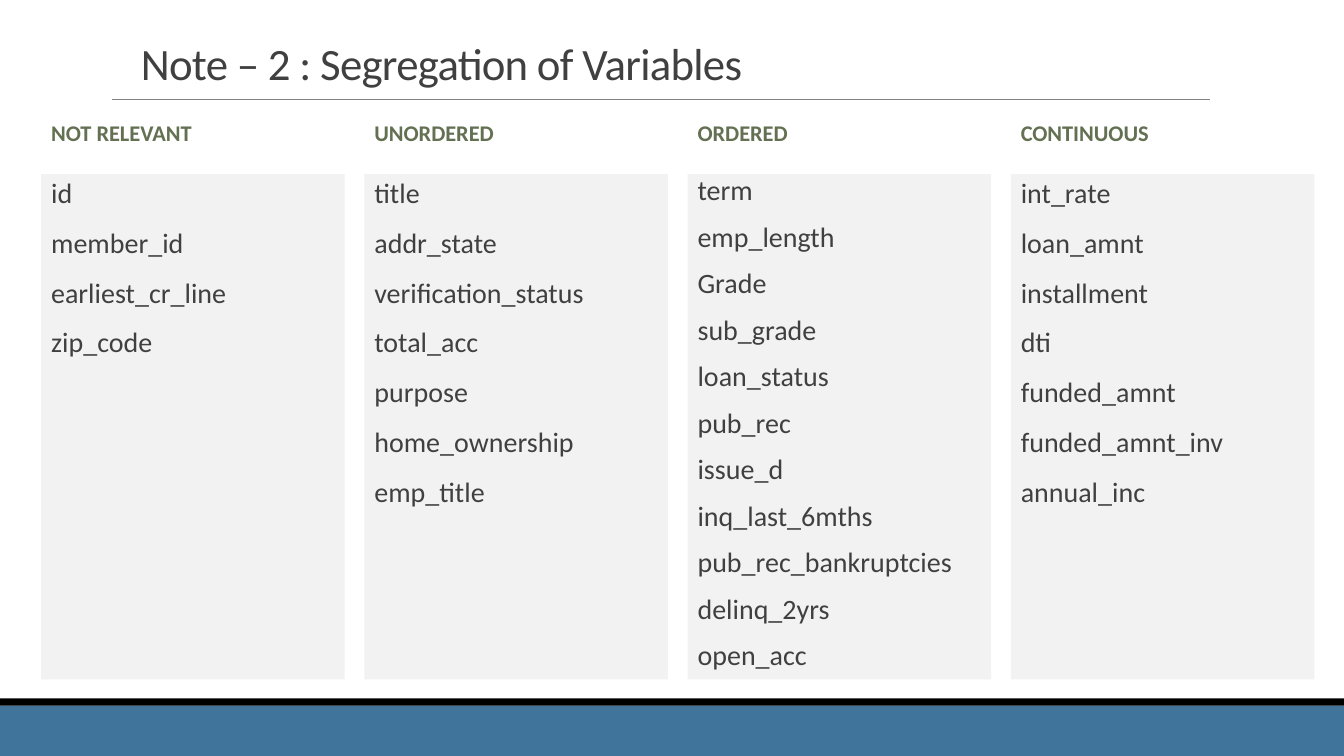
from dataclasses import dataclass

from lxml import etree
from pptx import Presentation
from pptx import util as u
from pptx.dml.color import RGBColor
from pptx.enum import shapes, text
from pptx.oxml.ns import qn

TITLE = "Note – 2 : Segregation of Variables"
GROUPS = [
    ("NOT RELEVANT", 0.9, ["id", "member_id", "earliest_cr_line", "zip_code"]),
    ("UNORDERED", 0.9, ["title", "addr_state", "verification_status", "total_acc",
                        "purpose", "home_ownership", "emp_title"]),
    ("ORDERED", 0.8, ["term", "emp_length", "Grade", "sub_grade", "loan_status",
                      "pub_rec", "issue_d", "inq_last_6mths",
                      "pub_rec_bankruptcies", "delinq_2yrs", "open_acc"]),
    ("CONTINUOUS", 0.9, ["int_rate", "loan_amnt", "installment", "dti",
                         "funded_amnt", "funded_amnt_inv", "annual_inc"]),
]


@dataclass(frozen=True)
class Theme:
    font: str = "Calibri"
    ink: str = "404040"
    head: str = "637052"
    panel: str = "F2F2F2"
    blue: str = "40749B"
    black: str = "000000"
    rule: str = "808080"
    title_size: int = 32
    head_size: int = 16
    item_size: int = 20


T = Theme()
WIDE, HIGH = 33.87, 19.05
LEFT, STEP, WIDTH = 1.04, 8.145, 7.65


def add_rect(slide, box, fill):
    rect = slide.shapes.add_shape(shapes.MSO_SHAPE.RECTANGLE, *map(u.Cm, box))
    rect.shadow.inherit = False
    rect.fill.solid()
    rect.fill.fore_color.rgb = RGBColor.from_string(fill)
    rect.line.fill.background()
    return rect


def add_label(slide, box):
    return slide.shapes.add_textbox(*map(u.Cm, box))


def write(shape, lines, size, color, spacing, anchor, gaps=True, bold=False):
    frame = shape.text_frame
    frame.word_wrap = True
    frame.vertical_anchor = anchor
    frame.text = "\n".join(lines)
    for para in frame.paragraphs:
        para.alignment = text.PP_ALIGN.LEFT
        para.line_spacing = spacing
        if gaps:
            para.space_before, para.space_after = u.Pt(12), u.Pt(2)
        para.font.name = T.font
        para.font.size = u.Pt(size)
        para.font.bold = bold
        para.font.color.rgb = RGBColor.from_string(color)
    return frame


def add_rule(slide, start, end, y):
    rule = slide.shapes.add_connector(
        shapes.MSO_CONNECTOR.STRAIGHT, u.Cm(start), u.Cm(y), u.Cm(end), u.Cm(y))
    rule.line.color.rgb = RGBColor.from_string(T.rule)
    rule.line.width = u.Pt(0.5)
    etree.SubElement(rule._element.spPr, qn("a:effectLst"))


def main():
    deck = Presentation()
    deck.slide_width, deck.slide_height = u.Cm(WIDE), u.Cm(HIGH)
    slide = deck.slides.add_slide(deck.slide_layouts[6])

    add_rect(slide, (0, 17.78, WIDE, 1.27), T.blue)
    add_rect(slide, (0, 17.6, WIDE, 0.18), T.black)
    add_rule(slide, 2.82, 30.5, 2.51)

    title = write(add_label(slide, (3.3, 0.79, 25.53, 1.6)), [TITLE],
                  T.title_size, T.ink, 0.85, text.MSO_ANCHOR.BOTTOM, gaps=False)
    title.paragraphs[0].runs[0].font._element.set("spc", "-50")

    for col, (head, spacing, items) in enumerate(GROUPS):
        x = LEFT + col * STEP
        panel = add_rect(slide, (x, 4.39, WIDTH, 12.73), T.panel)
        write(panel, items, T.item_size, T.ink, spacing, text.MSO_ANCHOR.TOP)
        write(add_label(slide, (x, 2.79, WIDTH, 1.19)), [head],
              T.head_size, T.head, 0.9, text.MSO_ANCHOR.MIDDLE, bold=True)

    deck.save("out.pptx")


if __name__ == "__main__":
    main()
